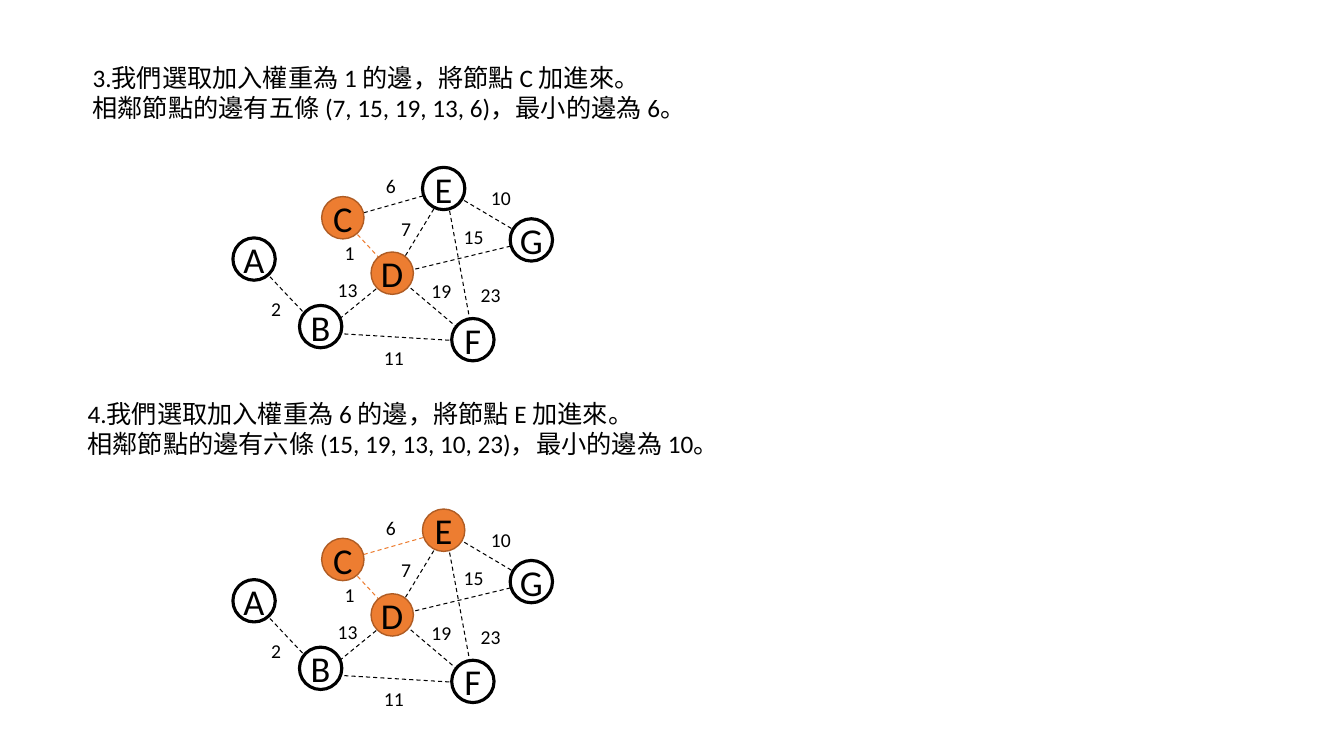
import pptx
import pptx.util
import pptx.dml.color
import pptx.enum.dml
import pptx.enum.shapes
import pptx.enum.text
import pptx.oxml

PX = 9144
FONT = "Calibri"
BLACK, WHITE, ORANGE, BROWN = "000000", "FFFFFF", "ED7D31", "AF5C24"
SIZE = 42

STEPS = [
    {"caption": (82, 57, ["3.我們選取加入權重為 1 的邊，將節點 C 加進來。",
                          "相鄰節點的邊有五條 (7, 15, 19, 13, 6)，最小的邊為 6。"]),
     "dy": 0, "chosen": "CD", "tree": ["CD"]},
    {"caption": (77, 390, ["4.我們選取加入權重為 6 的邊，將節點 E 加進來。",
                           "相鄰節點的邊有六條 (15, 19, 13, 10, 23)，最小的邊為 10。"]),
     "dy": 339, "chosen": "CDE", "tree": ["CD", "CE"]},
]

NODES = {"A": (231, 236), "F": (448, 316), "B": (297, 303), "D": (368, 250),
         "G": (506, 217), "C": (319, 195), "E": (419, 166)}
JOINTS = {"A": (253, 259), "B": (320, 330), "C": (340, 217), "D": (391, 272),
          "E": (442, 188), "F": (470, 339), "G": (528, 239)}

EDGES = [
    ("AB", "2", 259, 290, 43), ("CD", "1", 332, 234, 30),
    ("EF", "23", 467, 276, 96), ("DG", "15", 450, 218, 96),
    ("BF", "11", 371, 338, 96), ("BD", "13", 325, 271, 96),
    ("CE", "6", 373, 168, 96), ("EG", "10", 477, 180, 96),
    ("DE", "7", 388, 210, 96), ("DF", "19", 418, 272, 41),
]


def px(*values):
    return [pptx.util.Emu(v * PX) for v in values]


def rgb(value):
    return pptx.dml.color.RGBColor.from_string(value)


def write(sp, lines, size, align="LEFT", wrap=True, inset=None, anchor="TOP"):
    tf = sp.text_frame
    tf.word_wrap = wrap
    tf.vertical_anchor = getattr(pptx.enum.text.MSO_ANCHOR, anchor)
    if inset is not None:
        tf.margin_left = tf.margin_right = tf.margin_top = tf.margin_bottom = inset
    for i, line in enumerate(lines):
        p = tf.add_paragraph() if i else tf.paragraphs[0]
        p.alignment = getattr(pptx.enum.text.PP_ALIGN, align)
        r = p.add_run()
        r.text = line
        r.font.name = FONT
        r.font.size = pptx.util.Pt(size)
        r.font.color.rgb = rgb(BLACK)


def add_edge(shapes, start, end, color):
    line = shapes.add_connector(pptx.enum.shapes.MSO_CONNECTOR.STRAIGHT, *px(*start, *end))
    line.line.color.rgb = rgb(color)
    line.line.width = pptx.util.Pt(0.75)
    line.line.dash_style = pptx.enum.dml.MSO_LINE.DASH
    props = line._element.spPr
    props.append(pptx.oxml.parse_xml(
        '<a:effectLst xmlns:a="http://schemas.openxmlformats.org/drawingml/2006/main"/>'))


def add_node(shapes, name, left, top, chosen):
    sp = shapes.add_shape(pptx.enum.shapes.MSO_SHAPE.OVAL, *px(left, top, SIZE, SIZE))
    sp.shadow.inherit = False
    sp.fill.solid()
    sp.fill.fore_color.rgb = rgb(ORANGE if chosen else WHITE)
    sp.line.color.rgb = rgb(BROWN if chosen else BLACK)
    sp.line.width = pptx.util.Pt(1 if chosen else 2.25)
    write(sp, [name], 26, align="CENTER", wrap=False, inset=0, anchor="MIDDLE")


def add_step(shapes, step):
    dy = step["dy"]
    left, top, lines = step["caption"]
    write(shapes.add_textbox(*px(left, top, 1130, 71)), lines, 18)
    for ends, *_ in EDGES:
        start, end = [(JOINTS[n][0], JOINTS[n][1] + dy) for n in ends]
        add_edge(shapes, start, end, ORANGE if ends in step["tree"] else BLACK)
    for name, (x, y) in NODES.items():
        add_node(shapes, name, x, y + dy, name in step["chosen"])
    for _, weight, x, y, width in EDGES:
        write(shapes.add_textbox(*px(x, y + dy, width, 34)), [weight], 14)


def main():
    prs = pptx.Presentation()
    prs.slide_width, prs.slide_height = px(1333, 750)
    slide = prs.slides.add_slide(prs.slide_layouts[6])
    for step in STEPS:
        add_step(slide.shapes, step)
    prs.save("out.pptx")


if __name__ == "__main__":
    main()
